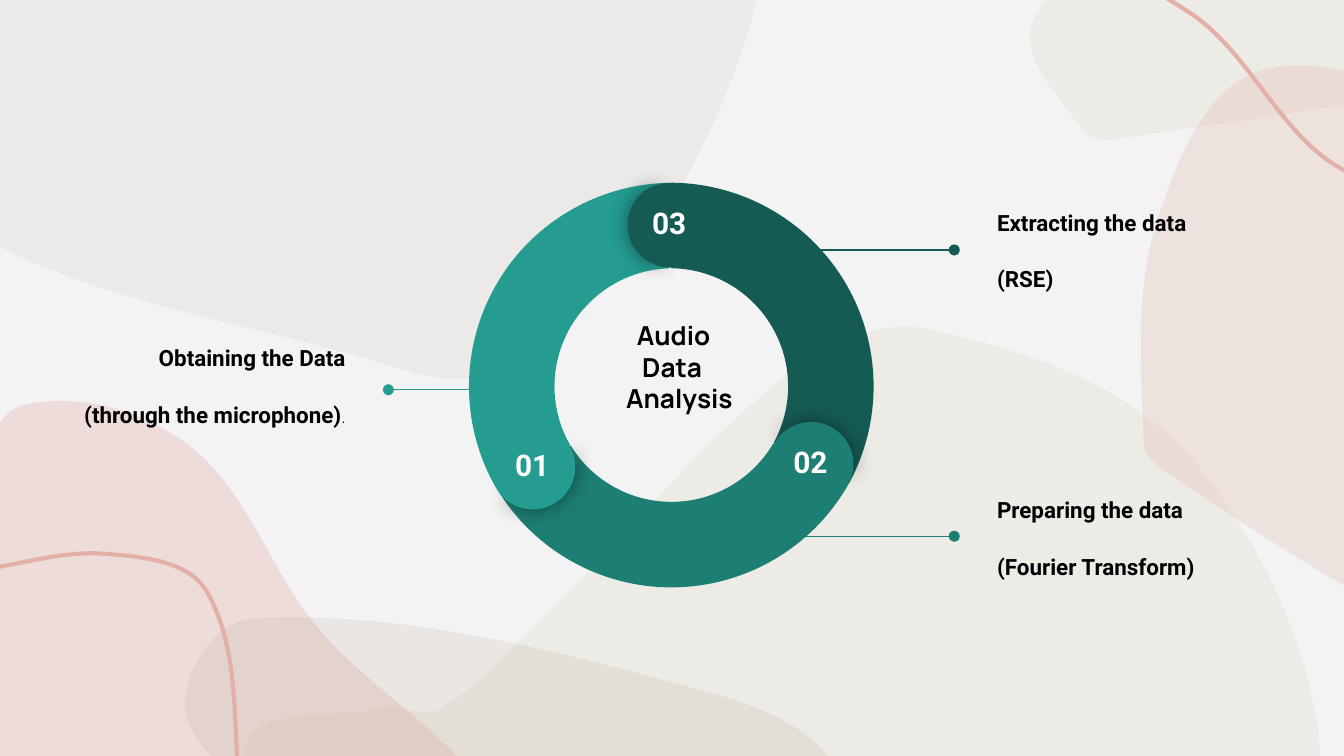
from lxml import etree
from pptx import Presentation
from pptx.dml.color import RGBColor as RGB
from pptx.enum.shapes import MSO_CONNECTOR as LINK, MSO_SHAPE as SHAPE
from pptx.enum.text import MSO_ANCHOR as ANCHOR, MSO_AUTO_SIZE as FIT, PP_ALIGN as ALIGN
from pptx.oxml.ns import qn
from pptx.util import Inches, Pt

COLORS = {
    "paper": "F3F3F3", "stone": "887C62", "sand": "E7E2D6", "rose": "E2B0A6",
    "clay": "AC9078", "dark": "155B54", "mid": "1D7E74", "light": "249C90",
    "ink": "000000", "white": "FFFFFF",
}

prs = Presentation()
prs.slide_width, prs.slide_height = Inches(10), Inches(5.625)
COL = prs.slide_width // 10
slide = prs.slides.add_slide(prs.slide_layouts[6])
slide.background.fill.solid()
slide.background.fill.fore_color.rgb = RGB.from_string(COLORS["paper"])


def cells(*lengths):
    return [round(length * COL) for length in lengths]


def write(shapes, area, lines, font, size, color, align=ALIGN.LEFT):
    frame = shapes.add_textbox(*cells(*area)).text_frame
    frame.word_wrap = True
    frame.margin_left = frame.margin_right = frame.margin_top = frame.margin_bottom = COL // 10
    for index, line in enumerate(lines):
        para = frame.paragraphs[0] if index == 0 else frame.add_paragraph()
        para.add_run().text = line
        para.alignment = align
        para.font.name, para.font.size, para.font.bold = font, Pt(size), True
        para.font.color.rgb = RGB.from_string(COLORS[color])
    return frame


hill = [(3.1, -3.63), (0.36, -3.64), (-1.38, -0.22), (-0.47, 1.56), (2.8, 2.69),
        (3.64, 2.77), (4.9, 1.67), (5.73, -0.43), (5.64, -2.3)]
pebble = [(12.06, -1.02), (12.54, -0.25), (11.52, 0.43), (8.27, 1.04), (8.04, 0.95),
          (7.69, 0.15), (8.67, -0.47)]
dune = [(6.91, 2.45), (5.9, 2.76), (3.98, 4.66), (3.26, 5.28), (2.88, 5.27), (1.82, 5.61),
        (2.83, 6.72), (4.65, 7.42), (8.6, 7.1), (9.82, 5.99), (8.88, 3.43)]
left_petal = [(3.4, 8.24), (3.95, 6.45), (3.48, 5.71), (2.38, 4.69), (1.4, 3.31), (0.19, 3.01),
              (-0.3, 3.7), (-0.9, 4.41), (-1.42, 7.67), (0.5, 8.7)]
right_petal = [(8.69, 3.52), (10.38, 4.57), (11.57, 5.06), (13.39, 2.65), (13.12, 2.12),
               (11.1, 0.99), (9.4, 0.52), (8.61, 1.65), (8.51, 3.29)]
mirrored_pebble = [(13.94 - x, y + 5.62) for x, y in pebble]
top_wave = [(12.61, 0.84), (11.64, 1.15), (10.1, 1.31), (8.86, 0.1), (6.75, -0.92),
            (4.83, -1.6), (5, -3.23)]
bottom_wave = [(-6.59, 4.04), (-4.28, 2.96), (-2.78, 3.8), (-0.48, 4.25), (0.77, 4.12),
               (1.55, 4.42), (1.8, 6.04)]
backdrop = [
    (hill, "stone", 7), (pebble, "sand", 46), (dune, "sand", 46), (left_petal, "rose", 33),
    (right_petal, "rose", 25), (mirrored_pebble, "clay", 13),
    (top_wave, "rose", None), (bottom_wave, "rose", None),
]
for outline, color, opacity in backdrop:
    closed = opacity is not None
    knots = [complex(x, y) for x, y in outline]
    count = len(knots)
    headings = []
    for index in range(count):
        before = knots[index - 1] if closed else knots[max(index - 1, 0)]
        after = knots[(index + 1) % count] if closed else knots[min(index + 1, count - 1)]
        headings.append((after - before) / abs(after - before))
    bends = []
    for index in range(count if closed else count - 1):
        following = (index + 1) % count
        reach = abs(knots[following] - knots[index]) / 3
        bends += [knots[index] + headings[index] * reach,
                  knots[following] - headings[following] * reach, knots[following]]
    builder = slide.shapes.build_freeform(knots[0].real * 100, knots[0].imag * 100, scale=COL / 100)
    builder.add_line_segments([(bend.real * 100, bend.imag * 100) for bend in bends], close=closed)
    blob = builder.convert_to_shape()
    blob.shadow.inherit = False
    segments = blob._element.findall(".//" + qn("a:lnTo"))
    for first in range(0, len(segments), 3):
        curve = etree.Element(qn("a:cubicBezTo"))
        segments[first].addprevious(curve)
        for segment in segments[first:first + 3]:
            curve.append(segment[0])
            segment.getparent().remove(segment)
    if closed:
        blob.fill.solid()
        blob.fill.fore_color.rgb = RGB.from_string(COLORS[color])
        tint = blob._element.spPr.find(".//" + qn("a:srgbClr"))
        etree.SubElement(tint, qn("a:alpha"), val=str(opacity * 1000))
        blob.line.fill.background()
    else:
        blob.fill.background()
        blob.line.color.rgb = RGB.from_string(COLORS[color])
        blob.line.width = Pt(2.25)

steps = [
    (["Obtaining the Data", "(through the microphone)"], 0.35, 2.17, ALIGN.RIGHT, "light", 3.58, 2.89, 2.9),
    (["Extracting the data", "(RSE)"], 7.32, 1.16, ALIGN.LEFT, "dark", 5.7, 7.1, 1.86),
    (["Preparing the data", "(Fourier Transform)"], 7.32, 3.3, ALIGN.LEFT, "mid", 5.7, 7.1, 3.99),
]
for lines, left, top, align, color, start, end, level in steps:
    step = slide.shapes.add_group_shape().shapes
    label = write(step, (left, top, 2.32, 1.41), lines, "Roboto", 12, "ink", align)
    label.vertical_anchor = ANCHOR.MIDDLE
    detail = label.paragraphs[1]
    detail.space_before = detail.space_after = Pt(16)
    if align == ALIGN.RIGHT:
        stop = detail.add_run()
        stop.text = "."
        stop.font.size, stop.font.bold = Pt(8), False
    leader = step.add_connector(LINK.STRAIGHT, *cells(start, level, end, level))
    leader.line.color.rgb = RGB.from_string(COLORS[color])
    leader.line.width = Pt(0.75)
    etree.SubElement(leader.line._get_or_add_ln(), qn("a:tailEnd"), type="oval")
    etree.SubElement(leader._element.spPr, qn("a:effectLst"))

RING, CAP = 3.03, 0.63
ARC, BACK, FRONT = (126.23, 197.1, 0.21), (61.9, 149.96), (40.28, 171.84)
caps = [("01", 3.65, 3.16, 240, "light"), ("03", 4.67, 1.36, 0, "dark"), ("02", 5.72, 3.14, 120, "mid")]
parts = [
    (SHAPE.BLOCK_ARC, 3.47, 1.36, RING, 60, ARC, "dark"),
    (SHAPE.BLOCK_ARC, 3.48, 1.34, RING, 180, ARC, "mid"),
    (SHAPE.BLOCK_ARC, 3.49, 1.36, RING, 300, ARC, "light"),
]
for number, left, top, turn, color in caps:
    parts.append((SHAPE.PIE, left, top, CAP, turn + 0.65, BACK, color))
    parts.append((SHAPE.PIE, left, top, CAP, (turn + 180) % 360, FRONT, color))

ring = slide.shapes.add_group_shape().shapes
for kind, left, top, size, turn, angles, color in parts:
    part = ring.add_shape(kind, *cells(left, top, size, size))
    part.rotation = turn
    for index, angle in enumerate(angles):
        part.adjustments[index] = angle
    part.fill.solid()
    part.fill.fore_color.rgb = RGB.from_string(COLORS[color])
    part.line.fill.background()
    part.shadow.inherit = False
    if angles == BACK:
        effects = part._element.spPr.find(qn("a:effectLst"))
        glow = etree.SubElement(effects, qn("a:outerShdw"), blurRad=str(Pt(11.2)), dist="0", dir="0",
                                algn="ctr", rotWithShape="0")
        shade = etree.SubElement(glow, qn("a:srgbClr"), val=COLORS["ink"])
        etree.SubElement(shade, qn("a:alpha"), val="43000")

for number, left, top, turn, color in caps:
    write(ring, (left + 0.03, top + 0.06, 0.56, 0.29), [number], "Roboto", 16, "white", ALIGN.CENTER)

topic = write(slide.shapes, (4.56, 2.28, 1.39, 0.91), ["Audio", "Data", "Analysis"], "Manrope", 14, "ink")
topic.auto_size = FIT.SHAPE_TO_FIT_TEXT
for para, indent in zip(topic.paragraphs, (0.08, 0.12, 0)):
    para._p.get_or_add_pPr().set("marL", str(round(indent * COL)))

prs.save("out.pptx")
